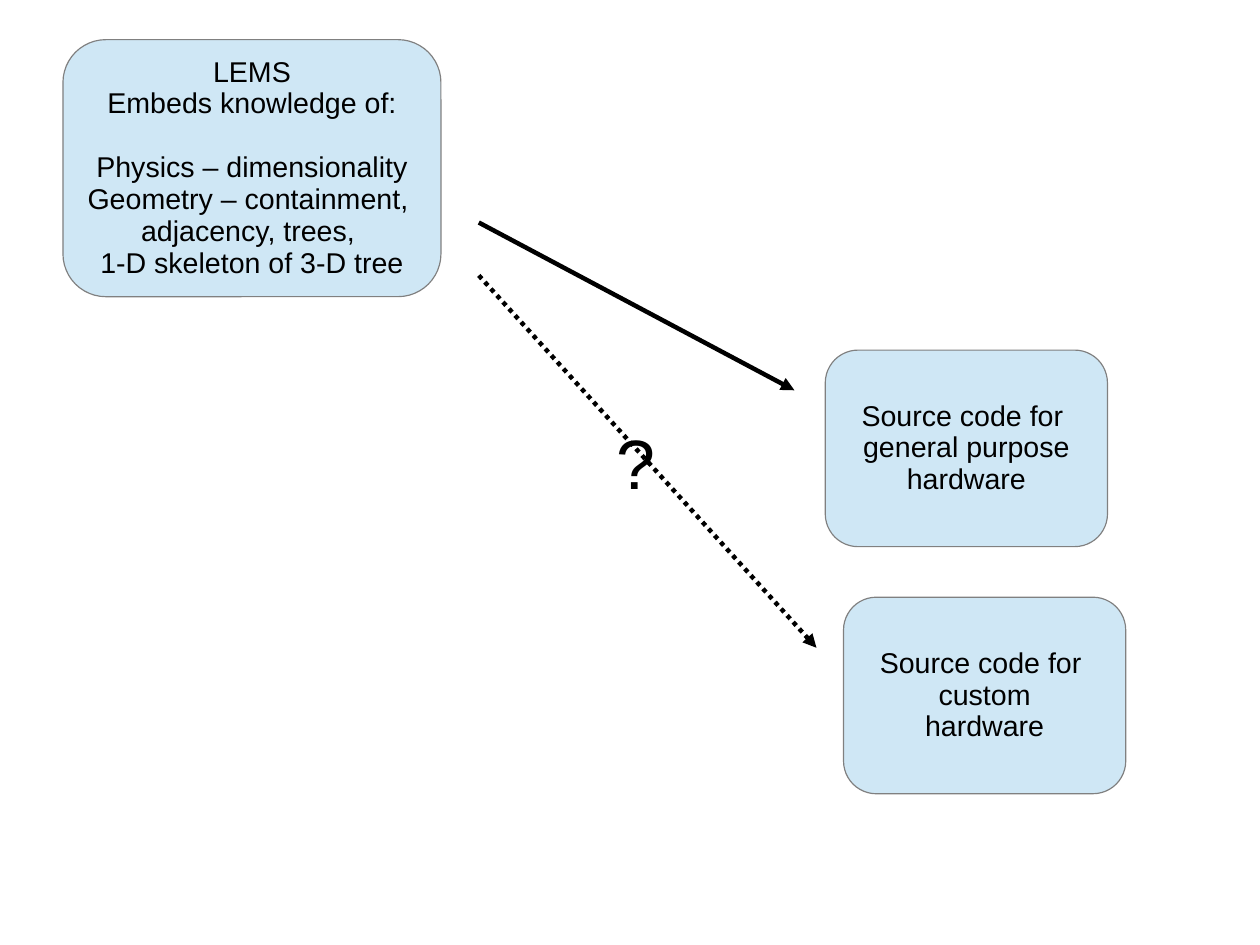
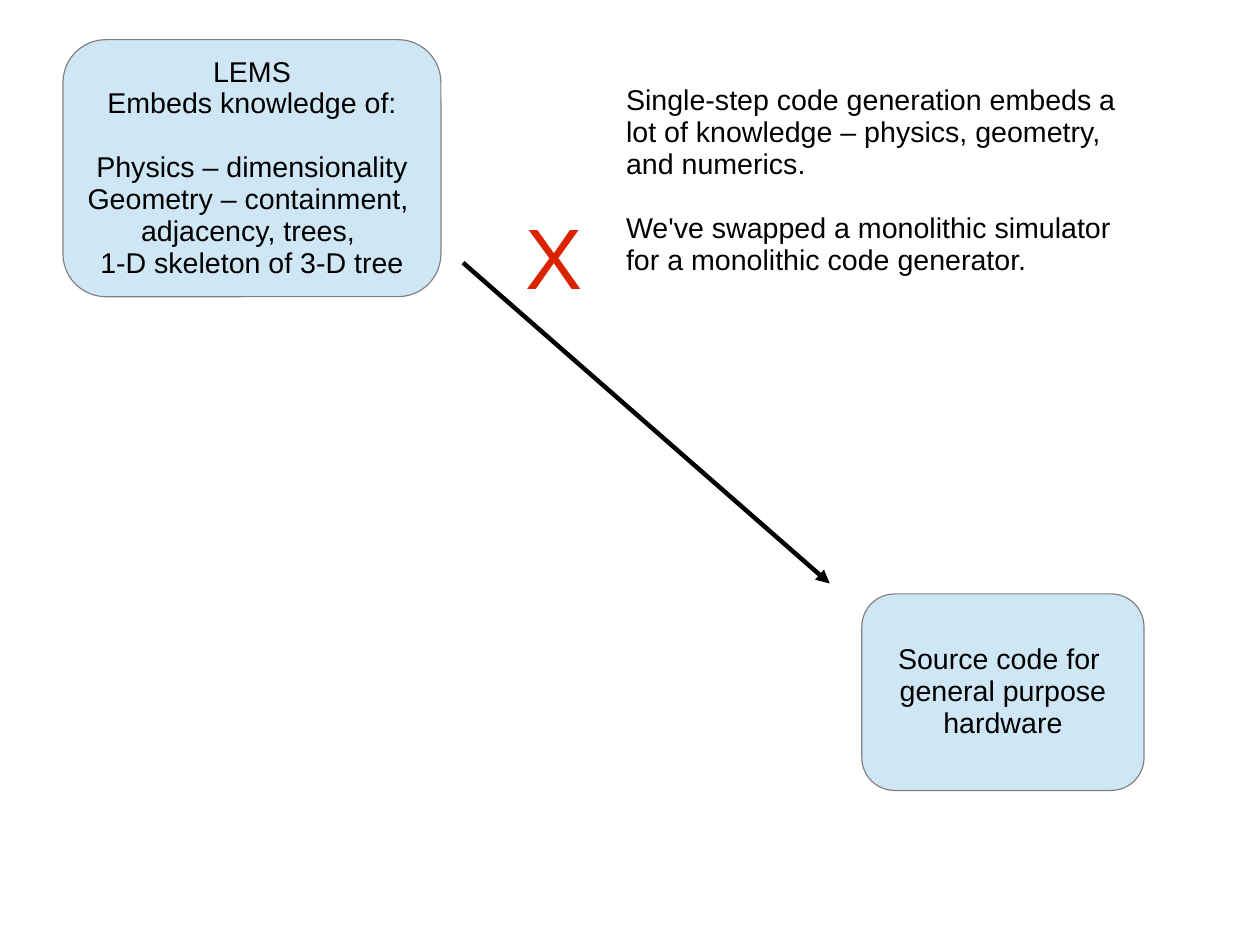
from dataclasses import dataclass

from pptx import Presentation
from pptx.dml.color import RGBColor as Rgb
from pptx.enum.dml import MSO_LINE as Dash
from pptx.enum.shapes import MSO_CONNECTOR as Link, MSO_SHAPE as Kind
from pptx.enum.text import MSO_ANCHOR as Anchor, PP_ALIGN as Align
from pptx.oxml.ns import qn
from pptx.util import Cm, Pt
from lxml.etree import SubElement


@dataclass(frozen=True)
class Theme:
    font: str = "Arial"
    ink: str = "000000"
    fill: str = "CFE7F5"
    edge: str = "808080"
    alert: str = "DC2300"
    body: int = 18
    query: int = 44
    cross: int = 54
    thin: float = 0.75
    thick: float = 2.83
    lead: float = 0.93
    gap: int = 20


THEME = Theme()
WIDTH, HEIGHT = Cm(28), Cm(21)

# Text is a list of groups of paragraphs; a gap parts the groups.
LEMS = [
    ["LEMS", "Embeds knowledge of:"],
    ["Physics – dimensionality", "Geometry – containment, ",
     "adjacency, trees, ", "1-D skeleton of 3-D tree"],
]
GENERAL = [["Source code for ", "general purpose", "hardware"]]
CUSTOM = [["Source code for ", "custom", "hardware"]]
CLAIM = [
    ["Single-step code generation embeds a lot of knowledge – "
     "physics, geometry, and numerics."],
    ["We've swapped a monolithic simulator for a monolithic code generator."],
]

# All places are percent of the slide's width and height.
MODEL = (5, 4.2, 30, 27.2)
CODE = (22.4, 20.8)
SLIDES = [
    {
        "boxes": [(LEMS, MODEL),
                  (CUSTOM, (66.95, 63.2, *CODE)),
                  (GENERAL, (65.5, 37.05, *CODE))],
        "arrows": [((38, 23.55, 63.05, 41.3), None),
                   ((38, 29.15, 64.8, 68.55), Dash.ROUND_DOT)],
        "notes": [([["?"]], (48.05, 44.6, 4.9, 10.5),
                   {"size": THEME.query, "wrap": False})],
    },
    {
        "boxes": [(LEMS, MODEL), (GENERAL, (68.4, 62.85, *CODE))],
        "arrows": [((36.75, 27.8, 65.85, 61.75), None)],
        "notes": [([["X"]], (40.8, 21.95, 6.35, 11.35),
                   {"size": THEME.cross, "color": THEME.alert}),
                  (CLAIM, (48.8, 8.45, 41.3, 21.4), {})],
    },
]


def scale(place):
    """Turn percent pairs (x, y, x, y) into slide lengths."""
    return [round(part * full / 100)
            for part, full in zip(place, (WIDTH, HEIGHT) * 2)]


def assign(target, values):
    for name, value in values.items():
        setattr(target, name, value)


def write(frame, groups, size=THEME.body, color=THEME.ink, wrap=True,
          align=Align.LEFT, anchor=Anchor.TOP):
    assign(frame, {"word_wrap": wrap, "vertical_anchor": anchor})
    lines = [(text, g > 0 and i == 0)
             for g, group in enumerate(groups) for i, text in enumerate(group)]
    for n, (text, apart) in enumerate(lines):
        para = frame.add_paragraph() if n else frame.paragraphs[0]
        assign(para, {"alignment": align, "line_spacing": THEME.lead})
        if apart:
            para.space_before = Pt(THEME.gap)
        run = para.add_run()
        run.text = text
        assign(run.font, {"name": THEME.font, "size": Pt(size)})
        run.font.color.rgb = Rgb.from_string(color)


def stroke(line, color, width):
    line.color.rgb = Rgb.from_string(color)
    line.width = Pt(width)


def add_box(shapes, groups, place):
    box = shapes.add_shape(Kind.ROUNDED_RECTANGLE, *scale(place))
    box.shadow.inherit = False
    box.fill.solid()
    box.fill.fore_color.rgb = Rgb.from_string(THEME.fill)
    stroke(box.line, THEME.edge, THEME.thin)
    write(box.text_frame, groups, wrap=False,
          align=Align.CENTER, anchor=Anchor.MIDDLE)


def add_arrow(shapes, ends, dash):
    arrow = shapes.add_connector(Link.STRAIGHT, *scale(ends))
    stroke(arrow.line, THEME.ink, THEME.thick)
    if dash:
        arrow.line.dash_style = dash
    props = arrow._element.spPr
    SubElement(props.find(qn("a:ln")), qn("a:tailEnd"), type="triangle")
    SubElement(props, qn("a:effectLst"))


def add_note(shapes, groups, place, style):
    note = shapes.add_textbox(*scale(place))
    write(note.text_frame, groups, **style)


def main():
    deck = Presentation()
    deck.slide_width = WIDTH
    deck.slide_height = HEIGHT
    makers = {"boxes": add_box, "arrows": add_arrow, "notes": add_note}
    for content in SLIDES:
        shapes = deck.slides.add_slide(deck.slide_layouts[6]).shapes
        for part, make in makers.items():
            for item in content[part]:
                make(shapes, *item)
    deck.save("out.pptx")


if __name__ == "__main__":
    main()
